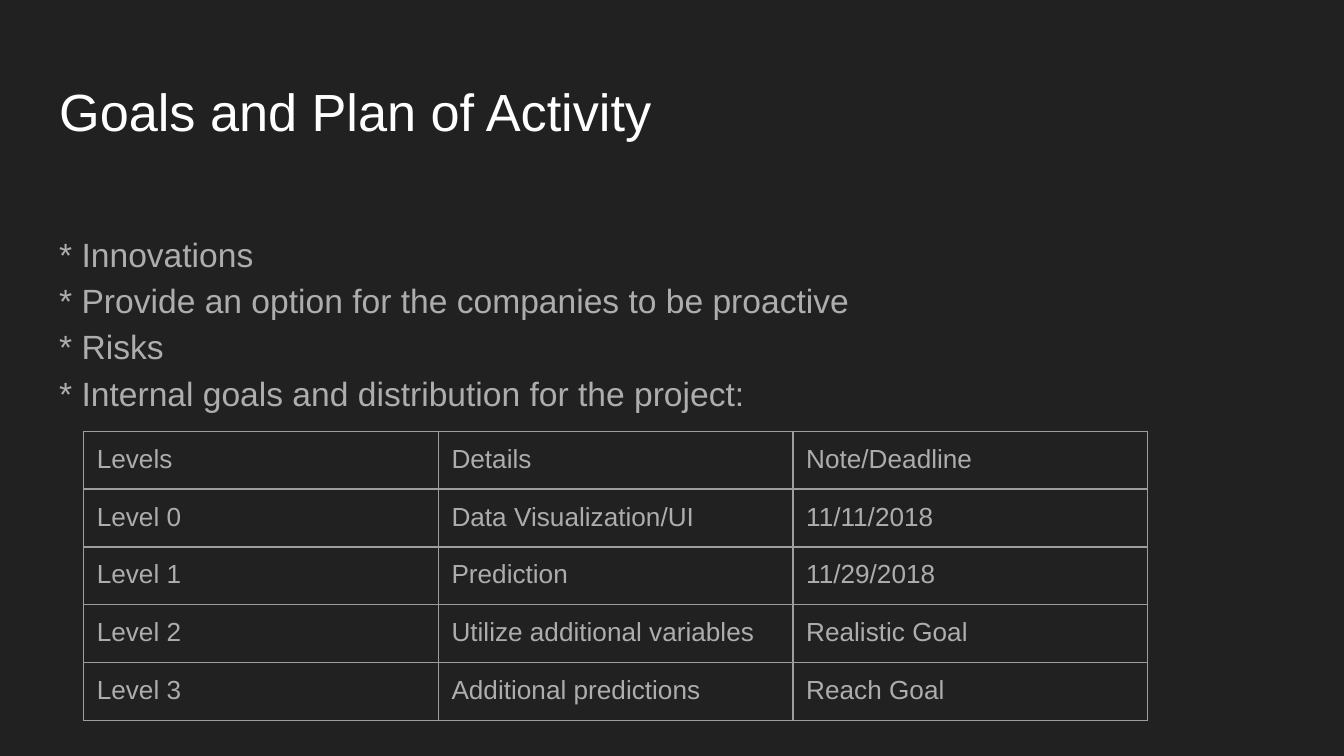
import pptx
import pptx.util
import pptx.dml.color
import pptx.enum.text
import pptx.oxml
import pptx.oxml.ns
from pptx.util import Cm

FONT = "Arial"
GREY = "ADADAD"
MARGIN = Cm(0.25)
GOALS = [
    "* Innovations",
    "* Provide an option for the companies to be proactive",
    "* Risks",
    "* Internal goals and distribution for the project:",
]
LEVELS = [
    ("Levels", "Details", "Note/Deadline"),
    ("Level 0", "Data Visualization/UI", "11/11/2018"),
    ("Level 1", "Prediction", "11/29/2018"),
    ("Level 2", "Utilize additional variables", "Realistic Goal"),
    ("Level 3", "Additional predictions", "Reach Goal"),
]


def colour(value):
    """Turn a hex string into a colour."""
    return pptx.dml.color.RGBColor.from_string(value)


def set_format(target, values):
    """Set each attribute named in a dict of format values."""
    for name, value in values.items():
        setattr(target, name, value)


def write_para(para, text, size, hue):
    """Write one formatted run into a paragraph."""
    span = para.add_run()
    span.text = text
    set_format(span.font, {"name": FONT, "size": pptx.util.Pt(size)})
    span.font.color.rgb = colour(hue)


def add_text(page, area, lines, size, hue, spacing=1.0):
    """Place a text box with one paragraph for each line."""
    frame = page.shapes.add_textbox(*area).text_frame
    sides = ("margin_left", "margin_right", "margin_top", "margin_bottom")
    set_format(frame, {"word_wrap": True, **dict.fromkeys(sides, MARGIN)})
    frame.vertical_anchor = pptx.enum.text.MSO_ANCHOR.TOP
    for index, line in enumerate(lines):
        para = frame.add_paragraph() if index else frame.paragraphs[0]
        para.line_spacing = spacing
        write_para(para, line, size, hue)


def outline_cell(cell, hue, width):
    """Draw a solid line on all four sides of a cell."""
    properties = cell._tc.get_or_add_tcPr()
    namespace = pptx.oxml.ns.nsdecls("a")
    for index, side in enumerate(("lnL", "lnR", "lnT", "lnB")):
        line = pptx.oxml.parse_xml(
            f'<a:{side} {namespace} w="{pptx.util.Pt(width)}"><a:solidFill>'
            f'<a:srgbClr val="{hue}"/></a:solidFill></a:{side}>'
        )
        properties.insert(index, line)


def add_plan(page, area, rows):
    """Place the table of levels, with equal rows and columns."""
    left, top, width, height = area
    table = page.shapes.add_table(len(rows), len(rows[0]), *area).table
    set_format(table, {"first_row": False, "horz_banding": False})
    for column in table.columns:
        column.width = width // len(rows[0])
    for row, texts in zip(table.rows, rows):
        row.height = height // len(rows)
        for cell, text in zip(row.cells, texts):
            sides = ("margin_left", "margin_right", "margin_top", "margin_bottom")
            set_format(cell, dict.fromkeys(sides, MARGIN))
            cell.fill.background()
            outline_cell(cell, "9E9E9E", 0.75)
            write_para(cell.text_frame.paragraphs[0], text, 14, GREY)


def build_page(deck):
    """Add the dark page with its title, goals and plan."""
    page = deck.slides.add_slide(deck.slide_layouts[6])
    page.background.fill.solid()
    page.background.fill.fore_color.rgb = colour("212121")
    left, width = Cm(0.87), Cm(23.67)
    title = (left, Cm(1.25), width, Cm(1.6))
    add_text(page, title, ["Goals and Plan of Activity"], 28, "FFFFFF")
    add_text(page, (left, Cm(4.05), width, Cm(4)), GOALS, 18, GREY, 1.15)
    add_plan(page, (Cm(1.58), Cm(8.15), Cm(20.11), Cm(5.3)), LEVELS)


def main():
    """Build and save the deck."""
    deck = pptx.Presentation()
    set_format(deck, {"slide_width": Cm(25.4), "slide_height": Cm(14.29)})
    build_page(deck)
    deck.save("out.pptx")


if __name__ == "__main__":
    main()
